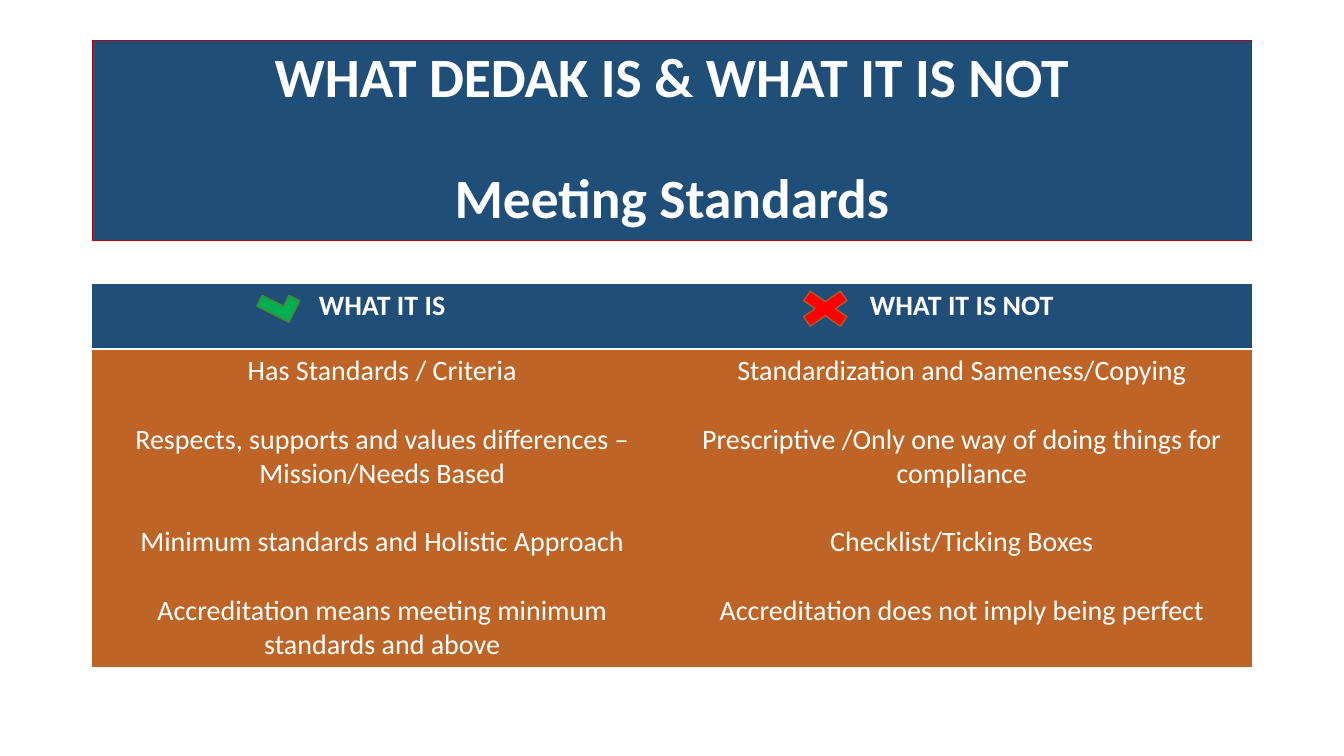
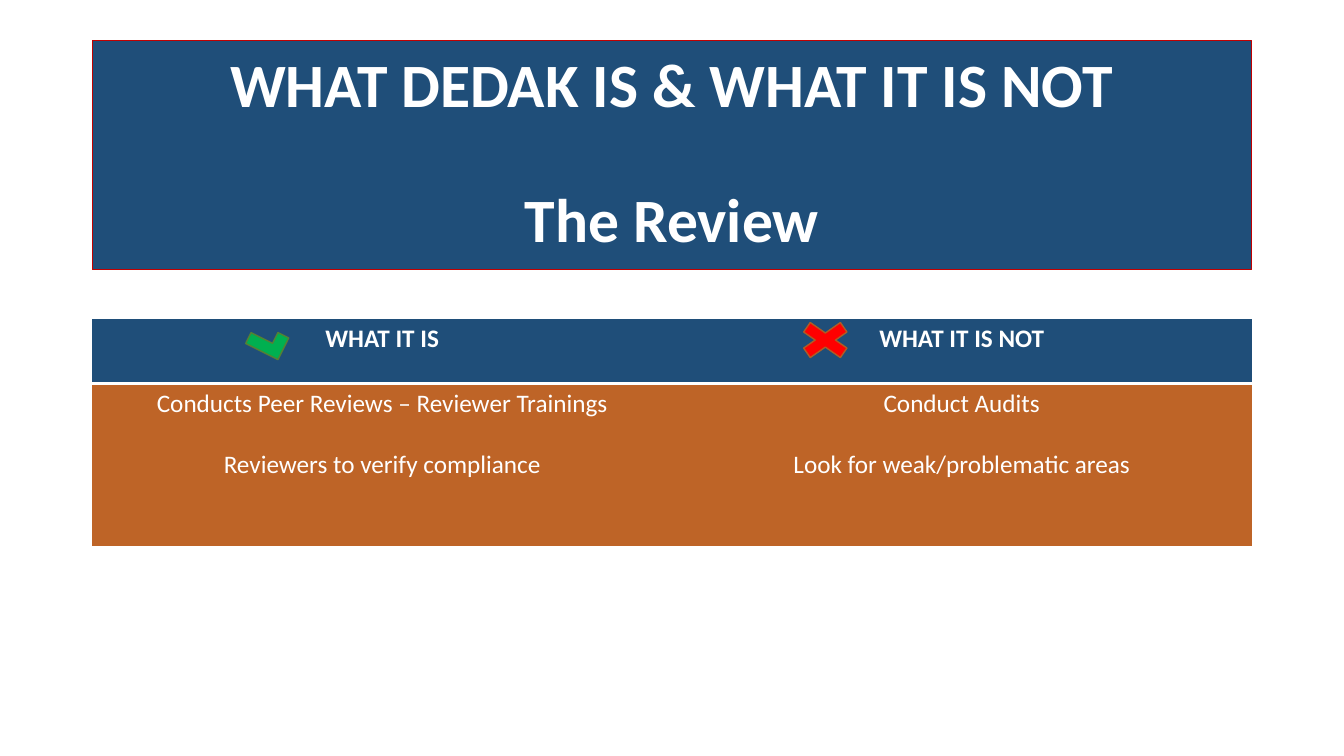
from lxml.etree import SubElement
from pptx import Presentation
from pptx.dml.color import RGBColor
from pptx.enum.shapes import MSO_SHAPE
from pptx.enum.text import MSO_ANCHOR, PP_ALIGN
from pptx.oxml.ns import qn
from pptx.util import Cm, Pt

COLORS = {
    "navy": "1F4E79", "rust": "BE6427", "white": "FFFFFF", "title edge": "C00000",
    "tick": "00B050", "tick edge": "538035", "cross": "FF0000", "cross edge": "AF5C24",
}
FONT = "Calibri"
LEFT, WIDTH, HEADER_HEIGHT = 2.33, 29.21, 1.63
NO_STYLE = "{2D5ABB26-0587-4C30-8999-92F81FD0307C}"


def color(name):
    return RGBColor.from_string(COLORS[name])


def write(frame, lines, size, bold=False, gap=0.0, line_spacing=None):
    """Write centred white paragraphs, with a gap given in multiples of the size."""
    for index, line in enumerate(lines):
        paragraph = frame.paragraphs[0] if index == 0 else frame.add_paragraph()
        paragraph.alignment = PP_ALIGN.CENTER
        if line_spacing:
            paragraph.line_spacing = line_spacing
        if index:
            paragraph.space_before = Pt(round(size * gap, 1))
        run = paragraph.add_run()
        run.text = line
        run.font.name, run.font.size, run.font.bold = FONT, Pt(size), bold
        run.font.color.rgb = color("white")


class Deck:
    def __init__(self):
        self.file = Presentation()
        self.file.slide_width, self.file.slide_height = Cm(33.87), Cm(19.05)
        self.slide = None

    def new_slide(self):
        self.slide = self.file.slides.add_slide(self.file.slide_layouts[6])

    def shape(self, preset, left, top, width, height, fill, edge, edge_width=1.0):
        shape = self.slide.shapes.add_shape(
            preset, Cm(left), Cm(top), Cm(width), Cm(height))
        shape.shadow.inherit = False
        shape.fill.solid()
        shape.fill.fore_color.rgb = color(fill)
        shape.line.color.rgb = color(edge)
        shape.line.width = Pt(edge_width)
        return shape

    def title(self, topic, height, size):
        band = self.shape(MSO_SHAPE.RECTANGLE, LEFT, 1.01, WIDTH, height,
                          "navy", "title edge", 0.75)
        band.text_frame.word_wrap = True
        band.text_frame.vertical_anchor = MSO_ANCHOR.MIDDLE
        write(band.text_frame, ["WHAT DEDAK IS & WHAT IT IS NOT", topic], size,
              bold=True, gap=1.1, line_spacing=0.9)

    def comparison(self, top, body_height, size, is_points, is_not_points):
        frame = self.slide.shapes.add_table(
            2, 2, Cm(LEFT), Cm(top), Cm(WIDTH), Cm(HEADER_HEIGHT + body_height))
        table = frame.table
        table.first_row = table.horz_banding = False
        frame._element.find(".//" + qn("a:tableStyleId")).text = NO_STYLE
        table.rows[0].height, table.rows[1].height = Cm(HEADER_HEIGHT), Cm(body_height)

        columns = [("WHAT IT IS", is_points), ("WHAT IT IS NOT", is_not_points)]
        for index, (heading, points) in enumerate(columns):
            header, body = table.cell(0, index), table.cell(1, index)
            self.rule_below(header)
            for cell, fill in ((header, "navy"), (body, "rust")):
                cell.fill.solid()
                cell.fill.fore_color.rgb = color(fill)
            write(header.text_frame, [heading], size, bold=True)
            write(body.text_frame, points, size, gap=1.22)

    def rule_below(self, cell):
        # Borders come before the fill in the cell properties
        rule = SubElement(cell._tc.get_or_add_tcPr(), qn("a:lnB"), w=str(int(Pt(2))))
        fill = SubElement(rule, qn("a:solidFill"))
        SubElement(fill, qn("a:srgbClr"), val=COLORS["white"])

    def tick(self, left, top):
        tick = self.shape(MSO_SHAPE.CORNER, left, top, 0.61, 0.91, "tick", "tick edge")
        tick.rotation = 296.5

    def cross(self, top):
        self.shape(MSO_SHAPE.MATH_MULTIPLY, 19.91, top, 1.78, 1.24, "cross", "cross edge")


def main():
    deck = Deck()

    # Meeting standards
    deck.new_slide()
    deck.title("Meeting Standards", height=5.05, size=39.6)
    deck.comparison(
        7.16, 8, 20,
        ["Has Standards / Criteria",
         "Respects, supports and values differences – Mission/Needs Based",
         "Minimum standards and Holistic Approach",
         "Accreditation means meeting minimum standards and above"],
        ["Standardization and Sameness/Copying",
         "Prescriptive /Only one way of doing things for compliance",
         "Checklist/Ticking Boxes",
         "Accreditation does not imply being perfect"])
    deck.cross(7.16)
    deck.tick(6.71, 7.19)

    # The review
    deck.new_slide()
    deck.title("The Review", height=5.79, size=44)
    deck.comparison(
        8.03, 4.1, 18,
        ["Conducts Peer Reviews – Reviewer Trainings", "Reviewers to verify compliance"],
        ["Conduct Audits", "Look for weak/problematic areas"])
    deck.tick(6.43, 8.13)
    deck.cross(7.95)

    deck.file.save("out.pptx")


if __name__ == "__main__":
    main()
